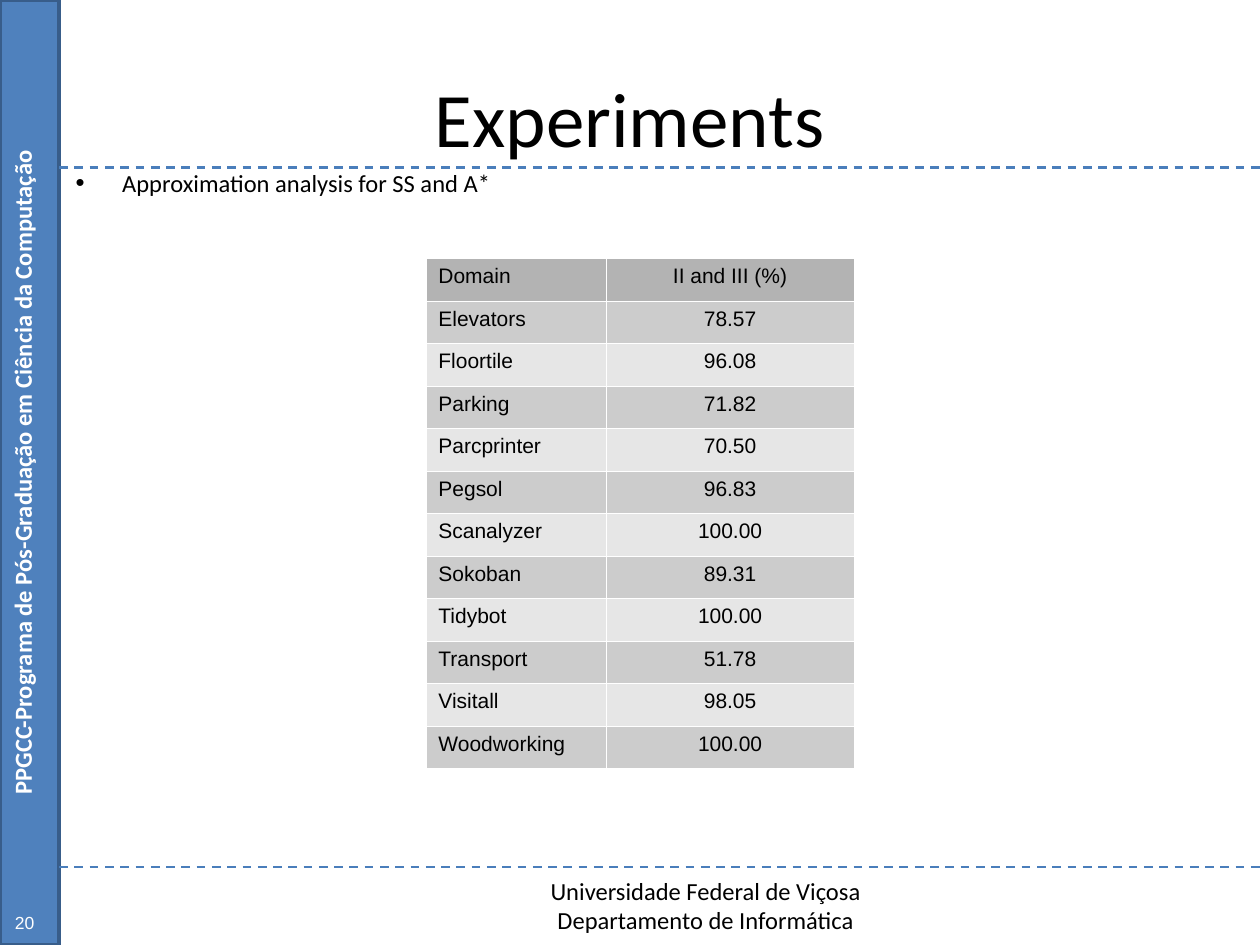
from dataclasses import dataclass

from lxml import etree
from pptx import Presentation
from pptx.dml.color import RGBColor
from pptx.enum.dml import MSO_LINE
from pptx.enum.shapes import MSO_CONNECTOR, MSO_SHAPE
from pptx.enum.text import MSO_ANCHOR, MSO_AUTO_SIZE, PP_ALIGN
from pptx.oxml.ns import qn
from pptx.util import Emu, Inches, Pt

LEFT, CENTER = PP_ALIGN.LEFT, PP_ALIGN.CENTER
TOP, MIDDLE = MSO_ANCHOR.TOP, MSO_ANCHOR.MIDDLE
FIXED, GROW = MSO_AUTO_SIZE.NONE, MSO_AUTO_SIZE.SHAPE_TO_FIT_TEXT
DASH, RECT, LINE = MSO_LINE.DASH, MSO_SHAPE.RECTANGLE, MSO_CONNECTOR.STRAIGHT
COLS, ROWS = 100, 75  # slide grid
PAD = (1, 0.5, 1, 0.5)  # left, top, right, bottom, in grid cells


@dataclass(frozen=True)
class Theme:
    ink: str = "000000"
    white: str = "FFFFFF"
    bar: str = "4F81BD"
    edge: str = "385D8A"
    rule: str = "4A7EBB"
    head: str = "B3B3B3"
    bands: tuple[str, str] = ("CCCCCC", "E6E6E6")
    sans: str = "Calibri"
    plain: str = "Arial"
    title: int = 44
    body: int = 14
    cell: int = 12
    page: int = 10


T = Theme()


@dataclass(frozen=True)
class Label:
    lines: tuple[str, ...]
    box: tuple[float, float, float, float]
    size: int = T.body
    font: str = T.sans
    color: str = T.ink
    bold: bool = False
    align: PP_ALIGN = CENTER
    anchor: MSO_ANCHOR = TOP
    pad: tuple[float, float, float, float] = PAD
    turn: int = 0
    wrap: bool = True
    bullet: bool = False


LABELS = (
    Label(("Experiments",), (5, 3, 90, 12.5), T.title, anchor=MIDDLE, pad=(0, 0, 0, 0)),
    Label(("Approximation analysis for SS and A*",), (5, 12.7, 90, 53.9),
          align=LEFT, pad=(0, 0.6, 0, 0), bullet=True),
    Label(("Universidade Federal de Viçosa", "Departamento de Informática"),
          (22.4, 69, 67.2, 5.7)),
    Label(("PPGCC-Programa de Pós-Graduação em Ciência da Computação",),
          (-35.7, 35.8, 75, 3.4), color=T.white, bold=True, turn=270),
    Label(("20",), (0.2, 71.9, 3.5, 3), T.page, T.plain, T.white, align=LEFT,
          pad=(1, 0.5, 0.5, 0.5), wrap=False),
)
DATA = (
    ("Domain", "II and III (%)"),
    ("Elevators", "78.57"),
    ("Floortile", "96.08"),
    ("Parking", "71.82"),
    ("Parcprinter", "70.50"),
    ("Pegsol", "96.83"),
    ("Scanalyzer", "100.00"),
    ("Sokoban", "89.31"),
    ("Tidybot", "100.00"),
    ("Transport", "51.78"),
    ("Visitall", "98.05"),
    ("Woodworking", "100.00"),
)
BAR = 4.7
RULES = (13.3, 68.8)
GRID = (33.8, 20.5, 34, 40.5)
WIDTHS = (14.3, 19.7)


def unit(cells: float) -> Emu:
    return Inches(10 * cells / COLS)


def rgb(code: str) -> RGBColor:
    return RGBColor.from_string(code)


def style(para, size: int, font: str, color: str, bold: bool, align: PP_ALIGN) -> None:
    para.alignment = align
    for key, val in {"size": Pt(size), "name": font, "bold": bold}.items():
        setattr(para.font, key, val)
    para.font.color.rgb = rgb(color)


def inset(item, pad: tuple[float, float, float, float]) -> None:
    for side, val in zip(("left", "top", "right", "bottom"), pad):
        setattr(item, f"margin_{side}", unit(val))


def dot(para) -> None:
    """Give the paragraph a hanging round bullet."""
    props = para._p.get_or_add_pPr()
    props.set("marL", str(unit(4.7)))
    props.set("indent", str(unit(-3.7)))
    etree.SubElement(props, qn("a:buSzPct")).set("val", "105000")
    etree.SubElement(props, qn("a:buFont")).set("typeface", T.plain)
    etree.SubElement(props, qn("a:buChar")).set("char", "•")


def write(slide, label: Label) -> None:
    shape = slide.shapes.add_textbox(*map(unit, label.box))
    shape.rotation = label.turn
    frame = shape.text_frame
    frame.word_wrap = label.wrap
    frame.auto_size = FIXED if label.wrap else GROW
    frame.vertical_anchor = label.anchor
    inset(frame, label.pad)
    for i, line in enumerate(label.lines):
        para = frame.add_paragraph() if i else frame.paragraphs[0]
        para.text = line
        if label.bullet:
            dot(para)
        style(para, label.size, label.font, label.color, label.bold, label.align)


def side(slide) -> None:
    bar = slide.shapes.add_shape(RECT, 0, 0, unit(BAR), unit(ROWS))
    bar.shadow.inherit = False
    bar.fill.solid()
    bar.fill.fore_color.rgb = rgb(T.bar)
    bar.line.color.rgb = rgb(T.edge)
    bar.line.width = Pt(2)


def rule(slide, row: float) -> None:
    line = slide.shapes.add_connector(LINE, *map(unit, (BAR, row, COLS, row)))
    line.line.color.rgb = rgb(T.rule)
    line.line.width = Pt(1.25)
    line.line.dash_style = DASH
    etree.SubElement(line._element.spPr, qn("a:effectLst"))


def frame(cell) -> None:
    """Draw hairlines on all four sides of a cell."""
    props = cell._tc.get_or_add_tcPr()
    for i, tag in enumerate(("a:lnL", "a:lnR", "a:lnT", "a:lnB")):
        edge = etree.Element(qn(tag), w=str(Pt(0.06)))
        fill = etree.SubElement(edge, qn("a:solidFill"))
        etree.SubElement(fill, qn("a:srgbClr")).set("val", T.white)
        props.insert(i, edge)


def chart(slide) -> None:
    """Add the table of domains and shares."""
    table = slide.shapes.add_table(len(DATA), len(WIDTHS), *map(unit, GRID)).table
    for col, width in zip(table.columns, WIDTHS):
        col.width = unit(width)
    for r, row in enumerate(DATA):
        table.rows[r].height = unit(GRID[3] / len(DATA))
        for c, text in enumerate(row):
            cell = table.cell(r, c)
            cell.text = text
            inset(cell, PAD)
            cell.fill.solid()
            cell.fill.fore_color.rgb = rgb(T.bands[(r - 1) % 2] if r else T.head)
            frame(cell)
            style(cell.text_frame.paragraphs[0], T.cell, T.plain, T.ink, False,
                  CENTER if c else LEFT)


def main() -> None:
    deck = Presentation()
    deck.slide_width, deck.slide_height = unit(COLS), unit(ROWS)
    slide = deck.slides.add_slide(deck.slide_layouts[6])
    side(slide)
    for row in RULES:
        rule(slide, row)
    for label in LABELS:
        write(slide, label)
    chart(slide)
    deck.save("out.pptx")


if __name__ == "__main__":
    main()
